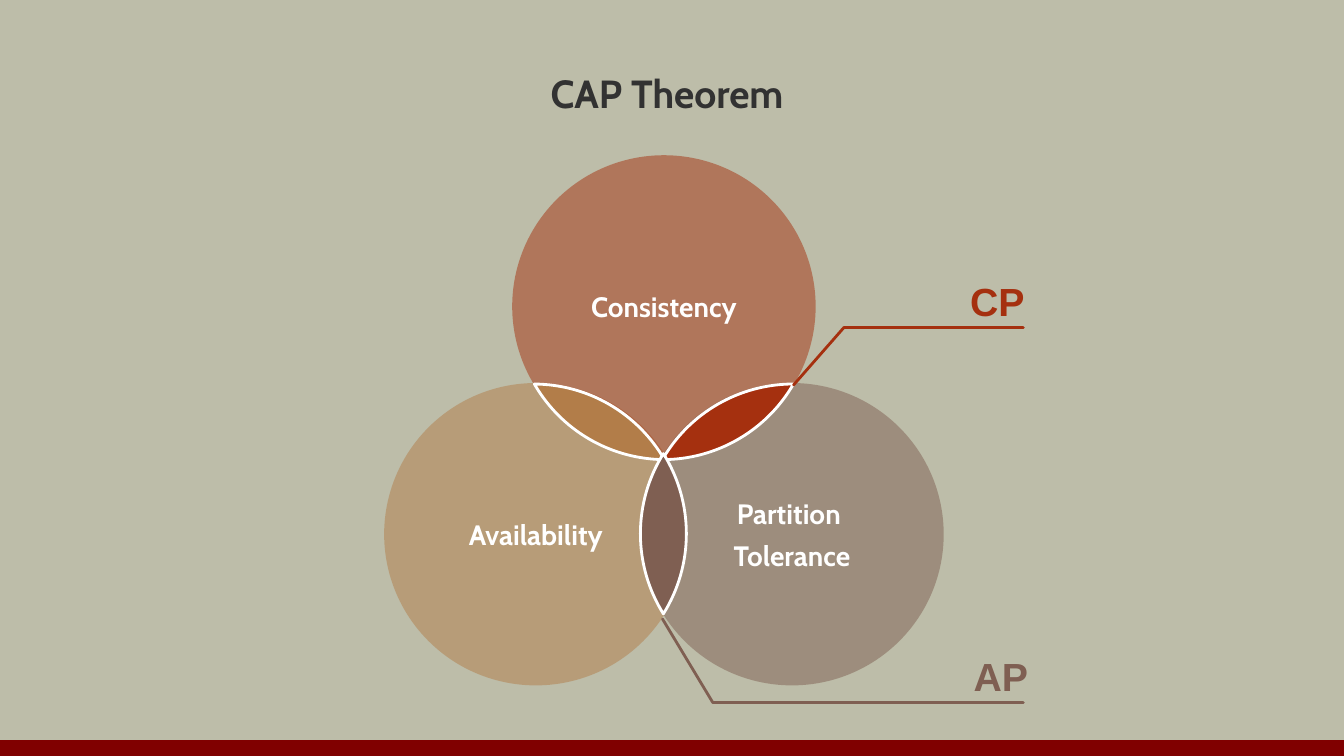
import math
from dataclasses import dataclass

from lxml import etree
from pptx import Presentation
from pptx.dml.color import RGBColor
from pptx.enum.shapes import MSO_CONNECTOR, MSO_SHAPE
from pptx.enum.text import MSO_ANCHOR, MSO_AUTO_SIZE, PP_ALIGN
from pptx.oxml.ns import qn
from pptx.util import Inches, Pt

STRAIGHT, OVAL = MSO_CONNECTOR.STRAIGHT, MSO_SHAPE.OVAL
TOP, MIDDLE = MSO_ANCHOR.TOP, MSO_ANCHOR.MIDDLE
CENTER, RIGHT = PP_ALIGN.CENTER, PP_ALIGN.RIGHT
GROW, FIXED = MSO_AUTO_SIZE.SHAPE_TO_FIT_TEXT, MSO_AUTO_SIZE.NONE

WHITE, DARK, SAGE, MAROON = "FFFFFF", "323232", "BDBDA9", "800000"
OCHRE, RUST, BROWN = "B27D49", "A5300F", "7F5F52"
CIRCLE_WIDTH, CIRCLE_HEIGHT, RADIUS = 3.01, 3.0, 1.5
CURVES_PER_ARC = 2

Point = tuple[float, float]


@dataclass
class Property:
    text: str
    left: float
    top: float
    color: str


@dataclass
class Overlap:
    start: Point
    end: Point
    color: str


@dataclass
class Callout:
    text: str
    left: float
    top: float
    width: float
    alignment: PP_ALIGN
    color: str
    leader: list[Point]


PROPERTIES = [
    Property("Availability", 3.81, 3.8, OCHRE),
    Property("Consistency", 5.08, 1.54, RUST),
    Property("Partition \nTolerance", 6.35, 3.8, BROWN),
]
OVERLAPS = [
    Overlap((5.3, 3.81), (6.59, 4.56), OCHRE),
    Overlap((7.87, 3.81), (6.57, 4.56), RUST),
    Overlap((6.58, 4.5), (6.58, 6.09), BROWN),
]
CALLOUTS = [
    Callout("CP", 9.38, 2.7, 0.88, RIGHT, RUST,
            [(10.15, 3.25), (8.37, 3.25), (7.87, 3.82)]),
    Callout("AP", 9.52, 6.42, 0.81, CENTER, BROWN,
            [(10.15, 6.97), (7.07, 6.97), (6.57, 6.14)]),
]


def rgb(color: str) -> RGBColor:
    return RGBColor.from_string(color)


def format_paragraph(paragraph, size: float, font: str, color: str, alignment=CENTER) -> None:
    paragraph.alignment = alignment
    paragraph.font.size = Pt(size)
    paragraph.font.name = font
    paragraph.font.bold = True
    paragraph.font.color.rgb = rgb(color)


def set_margins(frame, left: float, top: float, right: float, bottom: float) -> None:
    frame.margin_left, frame.margin_top = Inches(left), Inches(top)
    frame.margin_right, frame.margin_bottom = Inches(right), Inches(bottom)


def add_bottom_band(slide, master) -> None:
    """Draw the band and hand it over to the slide master."""
    band = slide.shapes.add_connector(
        STRAIGHT, 0, Inches(7.42), Inches(13.33), Inches(7.42))
    band.line.color.rgb = rgb(MAROON)
    band.line.width = Pt(12)
    etree.SubElement(band._element.spPr, qn("a:effectLst"))
    master.shapes.element.append(band._element)


def format_title(slide) -> None:
    title = slide.shapes.title
    title.left, title.top = Inches(0.77), Inches(0.64)
    title.width, title.height = Inches(11.79), Inches(0.48)
    frame = title.text_frame
    frame.text = "CAP Theorem"
    frame.vertical_anchor = TOP
    frame.auto_size = FIXED
    set_margins(frame, 0, 0.05, 0.1, 0.05)
    format_paragraph(frame.paragraphs[0], 28, "Cabin", DARK)


def add_property(slide, item: Property) -> None:
    circle = slide.shapes.add_shape(
        OVAL, Inches(item.left), Inches(item.top),
        Inches(CIRCLE_WIDTH), Inches(CIRCLE_HEIGHT))
    circle.shadow.inherit = False
    circle.line.fill.background()
    circle.fill.solid()
    circle.fill.fore_color.rgb = rgb(item.color)
    fill_color = circle._element.spPr.find(qn("a:solidFill"))[0]
    etree.SubElement(fill_color, qn("a:alpha"), val="50000")
    frame = circle.text_frame
    frame.word_wrap = True
    frame.vertical_anchor = MIDDLE
    set_margins(frame, 0.2, 0.2, 0.2, 0.2)
    frame.text = item.text
    for index, paragraph in enumerate(frame.paragraphs):
        format_paragraph(paragraph, 20, "Cabin", WHITE)
        if index:
            paragraph.space_before = Pt(6)


def add_outline(slide, points: list[Point], line_color: str, close: bool):
    corners = [(Inches(x), Inches(y)) for x, y in points]
    builder = slide.shapes.build_freeform(*corners[0])
    builder.add_line_segments(corners[1:], close=close)
    shape = builder.convert_to_shape()
    shape.shadow.inherit = False
    shape.fill.background()
    shape.line.color.rgb = rgb(line_color)
    shape.line.width = Pt(2)
    return shape


def arc(start: Point, end: Point) -> list[Point]:
    """Bezier points after start on the short circle arc to end, three per curve."""
    (x1, y1), (x2, y2) = start, end
    chord = math.dist(start, end)
    depth = math.sqrt(RADIUS ** 2 - (chord / 2) ** 2)
    center_x = (x1 + x2) / 2 - depth * (y2 - y1) / chord
    center_y = (y1 + y2) / 2 + depth * (x2 - x1) / chord
    first = math.atan2(y1 - center_y, x1 - center_x)
    step = 2 * math.asin(chord / 2 / RADIUS) / CURVES_PER_ARC
    handle = 4 / 3 * math.tan(step / 4)

    def on_arc(angle: float, tangent: float) -> Point:
        return (center_x + RADIUS * (math.cos(angle) - tangent * math.sin(angle)),
                center_y + RADIUS * (math.sin(angle) + tangent * math.cos(angle)))

    points = []
    for index in range(CURVES_PER_ARC):
        angle = first + index * step
        points += [on_arc(angle, handle), on_arc(angle + step, -handle),
                   on_arc(angle + step, 0)]
    return points


def curve_segments(shape) -> None:
    """Turn every three line segments into one cubic curve."""
    segments = list(shape._element.iter(qn("a:lnTo")))
    for index in range(0, len(segments), 3):
        curve = etree.Element(qn("a:cubicBezTo"))
        segments[index].addprevious(curve)
        for segment in segments[index:index + 3]:
            curve.append(segment[0])
            segment.getparent().remove(segment)


def add_overlap(slide, overlap: Overlap) -> None:
    points = [overlap.start, *arc(overlap.start, overlap.end),
              *arc(overlap.end, overlap.start)]
    points[-1] = overlap.start
    lens = add_outline(slide, points, WHITE, close=True)
    curve_segments(lens)
    lens.fill.solid()
    lens.fill.fore_color.rgb = rgb(overlap.color)


def add_callout(slide, callout: Callout) -> None:
    label = slide.shapes.add_textbox(
        Inches(callout.left), Inches(callout.top), Inches(callout.width), Inches(0.57))
    frame = label.text_frame
    frame.word_wrap = True
    frame.auto_size = GROW
    frame.text = callout.text
    format_paragraph(frame.paragraphs[0], 28, "Arial", callout.color, callout.alignment)
    leader = add_outline(slide, callout.leader, callout.color, close=False)
    leader._element.spPr.find(qn("a:ln")).set("cap", "rnd")


def main() -> None:
    presentation = Presentation()
    presentation.slide_width, presentation.slide_height = Inches(13.33), Inches(7.5)
    slide = presentation.slides.add_slide(presentation.slide_layouts[5])
    slide.background.fill.solid()
    slide.background.fill.fore_color.rgb = rgb(SAGE)
    add_bottom_band(slide, presentation.slide_master)
    format_title(slide)
    for item in PROPERTIES:
        add_property(slide, item)
    for overlap in OVERLAPS:
        add_overlap(slide, overlap)
    for callout in CALLOUTS:
        add_callout(slide, callout)
    presentation.save("out.pptx")


if __name__ == "__main__":
    main()
